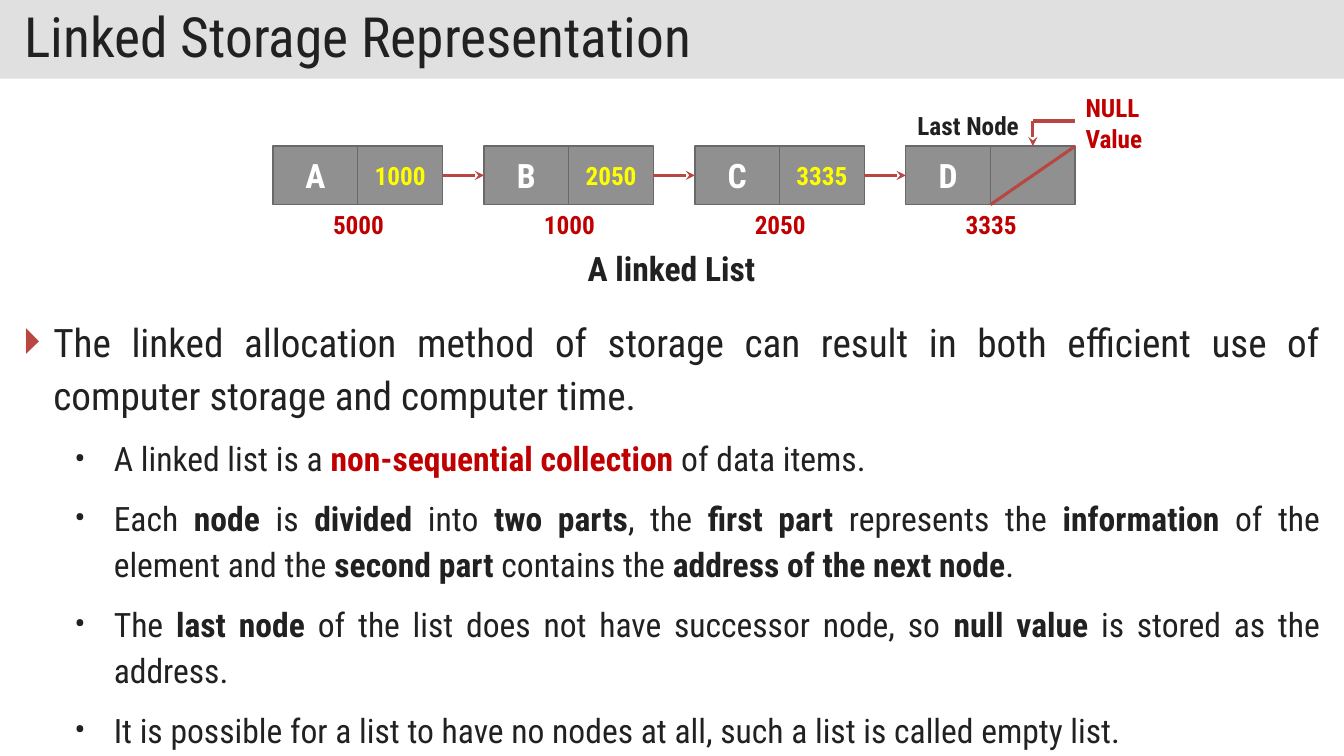
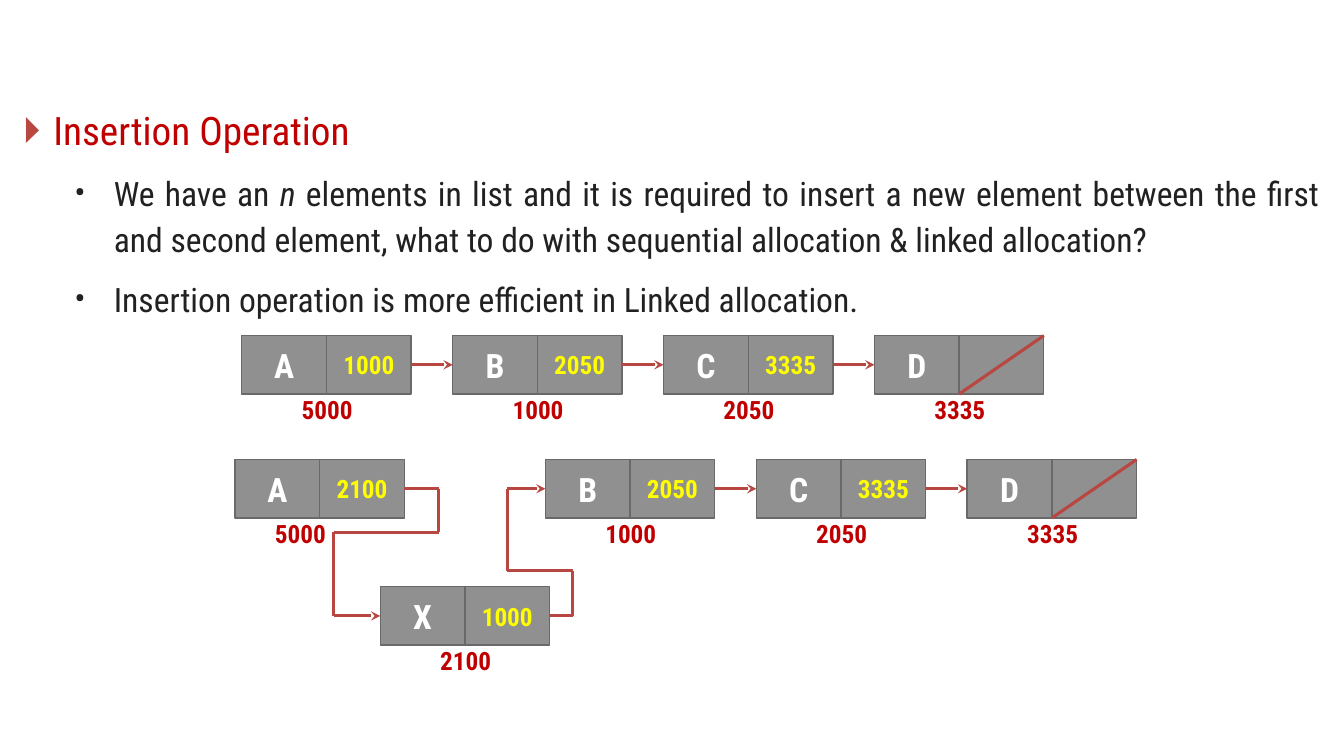
from itertools import pairwise

from lxml.etree import SubElement as Sub
from pptx import Presentation
from pptx.dml.color import RGBColor as Rgb
from pptx.enum.shapes import MSO_CONNECTOR as Conn, MSO_SHAPE as Shape
from pptx.enum.text import MSO_ANCHOR as Anchor, PP_ALIGN as Align
from pptx.oxml.ns import qn
from pptx.util import Inches, Pt

COL, ROW = 0.42, 0.29
WIDE, HIGH = 13.33, 7.5
STEP = 4.98
FACE = "Roboto Condensed"
HUES = {
    "ink": "212121", "red": "C00000", "line": "B84742", "cell": "909090",
    "edge": "696969", "band": "C0C0C0", "white": "FFFFFF", "next": "FFFF00",
}
FONTS = {
    "title": {"size": Pt(39.6), "bold": False},
    "head": {"size": Pt(28), "bold": False},
    "point": {"size": Pt(24), "bold": False},
    "name": {"size": Pt(24), "bold": True},
    "label": {"size": Pt(18), "bold": True},
}
LEVELS = [
    {"font": "head", "mark": "🞂", "tint": "line", "left": 0.29, "hang": 0.29, "gap": 0},
    {"font": "point", "mark": "•", "tint": "ink", "left": 0.89, "hang": 0.39, "gap": 10},
]
LIST = [("A", "1000", "5000"), ("B", "2050", "1000"),
        ("C", "3335", "2050"), ("D", None, "3335")]


def hue(key):
    """Return a named colour."""
    return Rgb.from_string(HUES[key])


def at(col, row):
    """Turn a grid place into lengths."""
    return Inches(col * COL), Inches(row * ROW)


def style(run, font, tint, **more):
    """Set the font of a run."""
    form = {"name": FACE, **FONTS[font], **more}
    for key, val in form.items():
        setattr(run.font, key, val)
    run.font.color.rgb = hue(tint)


def fill(frame, text, font, tint, **form):
    """Write one styled paragraph into a frame."""
    para = frame.paragraphs[0]
    para.text = text
    for key, val in form.items():
        setattr(para, key, val)
    for run in para.runs:
        style(run, font, tint)


def label(page, box, text, font="label", tint="red"):
    """Place a line of text on the grid."""
    area = page.shapes.add_textbox(*at(*box[:2]), *at(*box[2:]))
    area.text_frame.word_wrap = False
    fill(area.text_frame, text, font, tint)


def title(page, text):
    """Draw the title band."""
    band = page.shapes.add_shape(Shape.RECTANGLE, 0, 0, Inches(WIDE), Inches(0.78))
    band.shadow.inherit = False
    band.fill.solid()
    band.fill.fore_color.rgb = hue("band")
    tone = band.fill._xPr.find(".//" + qn("a:srgbClr"))
    Sub(tone, qn("a:alpha"), val="49000")
    band.line.fill.background()
    frame = band.text_frame
    form = {"word_wrap": True, "vertical_anchor": Anchor.MIDDLE,
            "margin_left": Inches(0.24), "margin_right": Inches(0.24),
            "margin_top": Inches(0.12), "margin_bottom": Inches(0.12)}
    for key, val in form.items():
        setattr(frame, key, val)
    fill(frame, text, "title", "ink", alignment=Align.LEFT, line_spacing=0.9)


def bullet(para, rule):
    """Give a paragraph its indent and bullet."""
    props = para._p.get_or_add_pPr()
    props.set("marL", str(Inches(rule["left"])))
    props.set("indent", str(-Inches(rule["hang"])))
    tone = Sub(props, qn("a:buClr"))
    Sub(tone, qn("a:srgbClr"), val=HUES[rule["tint"]])
    Sub(props, qn("a:buFont"), typeface=FACE)
    Sub(props, qn("a:buChar"), char=rule["mark"])


def body(page, top, high, items):
    """Write the bullets; text between stars takes the accent."""
    area = page.shapes.add_textbox(Inches(0.14), Inches(top), Inches(13.05), Inches(high))
    frame = area.text_frame
    frame.word_wrap = True
    for num, (level, tint, text, accent) in enumerate(items):
        para = frame.add_paragraph() if num else frame.paragraphs[0]
        rule = LEVELS[level]
        bullet(para, rule)
        form = {"level": level, "alignment": Align.JUSTIFY, "line_spacing": 1.14,
                "space_before": Pt(rule["gap"])}
        for key, val in form.items():
            setattr(para, key, val)
        for part, words in enumerate(text.split("*")):
            run = para.add_run()
            run.text = words
            more = {"tint": tint, **(accent if part % 2 else {})}
            style(run, rule["font"], **more)


def port(shape, site):
    """Find the middle of a side."""
    across, down = [(1, 0), (0, 1), (1, 2), (2, 1)][site]
    return shape.left + shape.width * across // 2, shape.top + shape.height * down // 2


def route(page, spots, start=None, end=None):
    """Draw straight lines through the spots, with an arrow into the end."""
    first = [port(*start)] if start else []
    last = [port(*end)] if end else []
    lines = []
    for one, two in pairwise(first + spots + last):
        line = page.shapes.add_connector(Conn.STRAIGHT, *one, *two)
        line.line.width = Pt(2.25)
        line.line.color.rgb = hue("line")
        Sub(line._element.spPr, qn("a:effectLst"))
        lines.append(line)
    if start:
        lines[0].begin_connect(*start)
    if end:
        lines[-1].end_connect(*end)
        Sub(lines[-1].line._get_or_add_ln(), qn("a:tailEnd"), type="stealth")


def cell(page, col, row, text, font, tint):
    """Draw one half of a node."""
    box = page.shapes.add_shape(Shape.RECTANGLE, *at(col, row), *at(2, 2))
    box.shadow.inherit = False
    box.fill.solid()
    box.fill.fore_color.rgb = hue("cell")
    box.line.color.rgb = hue("edge")
    box.line.width = Pt(1)
    box.text_frame.vertical_anchor = Anchor.MIDDLE
    if text:
        fill(box.text_frame, text, font, tint, alignment=Align.CENTER)
    return box


def node(page, col, row, name, link, place, shift=1.18, drop=1.83):
    """Draw a node with its address and return both halves."""
    left = cell(page, col, row, name, "name", "white")
    right = cell(page, col + 2, row, link, "label", "next")
    if link is None:
        route(page, [at(col + 4, row), at(col + 2, row + 2)])
    label(page, (col + shift, row + drop, 1.7, 1.38), place)
    return left, right


def chain(page, col, row, items, **form):
    """Draw linked nodes at equal steps."""
    nodes = [node(page, col + num * STEP, row, *item, **form)
             for num, item in enumerate(items)]
    for one, two in pairwise(nodes):
        route(page, [], (one[1], 3), (two[0], 1))
    return nodes


def marked(page, col, row):
    """Draw the list with its caption and null mark."""
    nodes = chain(page, col, row, LIST, drop=2)
    label(page, (col + 7.19, row + 3.31, 4.48, 1.72), "A linked List", "name", "ink")
    label(page, (col + 14.98, row - 1.38, 2.95, 1.38), "Last Node", tint="ink")
    label(page, (col + 18.95, row - 2, 1.93, 2.45), "NULL\vValue")
    mid, bend = col + 3 * STEP + 3, row - 0.86
    route(page, [at(mid + 1, bend), at(mid, bend)], end=(nodes[-1][1], 0))


def insert(page, col, row):
    """Draw the list with a new node between the first two."""
    head = node(page, col, row, "A", "2100", "5000", 0.71)
    rest = chain(page, col + 7.33, row, LIST[1:])
    fresh = node(page, col + 3.43, row + 4.35, "X", "1000", "2100")
    down = [(4.81, 1), (4.81, 2.49), (2.33, 2.49), (2.33, 5.35)]
    back = [(7.97, 5.35), (7.97, 3.8), (6.43, 3.8), (6.43, 1)]
    for spots, one, two in [(down, head, fresh), (back, fresh, rest[0])]:
        bends = [at(col + across, row + fall) for across, fall in spots]
        route(page, bends, (one[1], 3), (two[0], 1))


def storage(page):
    """Build the slide on linked storage."""
    title(page, "Linked Storage Representation")
    bold = {"bold": True}
    body(page, 3.04, 4.02, [
        (0, "ink", "The linked allocation method of storage can result in both efficient "
         "use of computer storage and computer time.", bold),
        (1, "ink", "A linked list is a *non-sequential collection *of data items.",
         {"bold": True, "tint": "red"}),
        (1, "ink", "Each *node* is *divided* into *two parts*, the *first part *represents "
         "the *information* of the element and the *second part *contains the "
         "*address of the next node*.", bold),
        (1, "ink", "The *last node *of the list does not have successor node, so "
         "*null value *is stored as the address.", bold),
        (1, "ink", "It is possible for a list to have no nodes at all, such a list is "
         "called empty list.", bold),
    ])
    marked(page, 6.45, 5)


def growth(page):
    """Build the slide on insertion."""
    slant = {"italic": True}
    body(page, 0.94, 6.11, [
        (0, "red", "Insertion Operation", slant),
        (1, "ink", "We have an *n* elements in list and it is required to insert a new "
         "element between the first and second element, what to do with sequential "
         "allocation & linked allocation?", slant),
        (1, "ink", "Insertion operation is more efficient in Linked allocation.", slant),
    ])
    chain(page, 5.71, 11.48, LIST)
    insert(page, 5.55, 15.72)


def main():
    """Build and save the deck."""
    deck = Presentation()
    deck.slide_width, deck.slide_height = Inches(WIDE), Inches(HIGH)
    for build in (storage, growth):
        build(deck.slides.add_slide(deck.slide_layouts[6]))
    deck.save("out.pptx")


if __name__ == "__main__":
    main()
